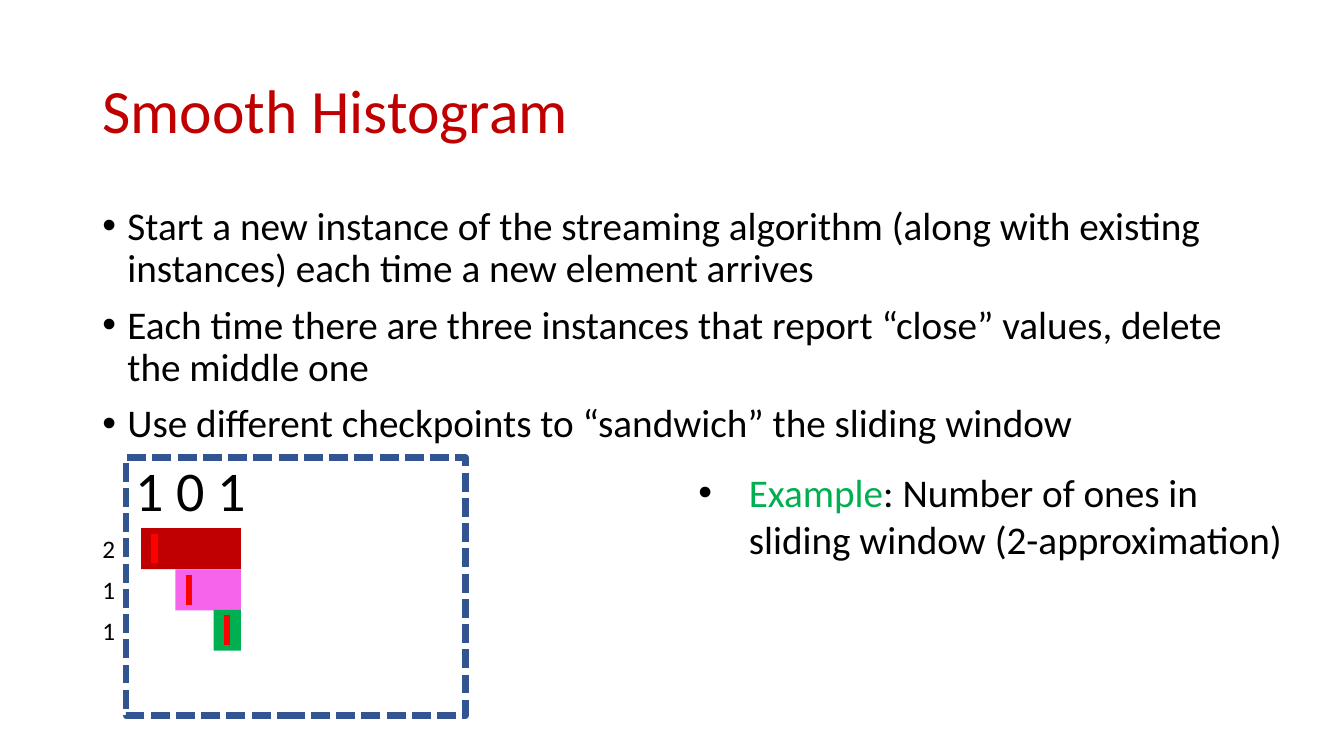
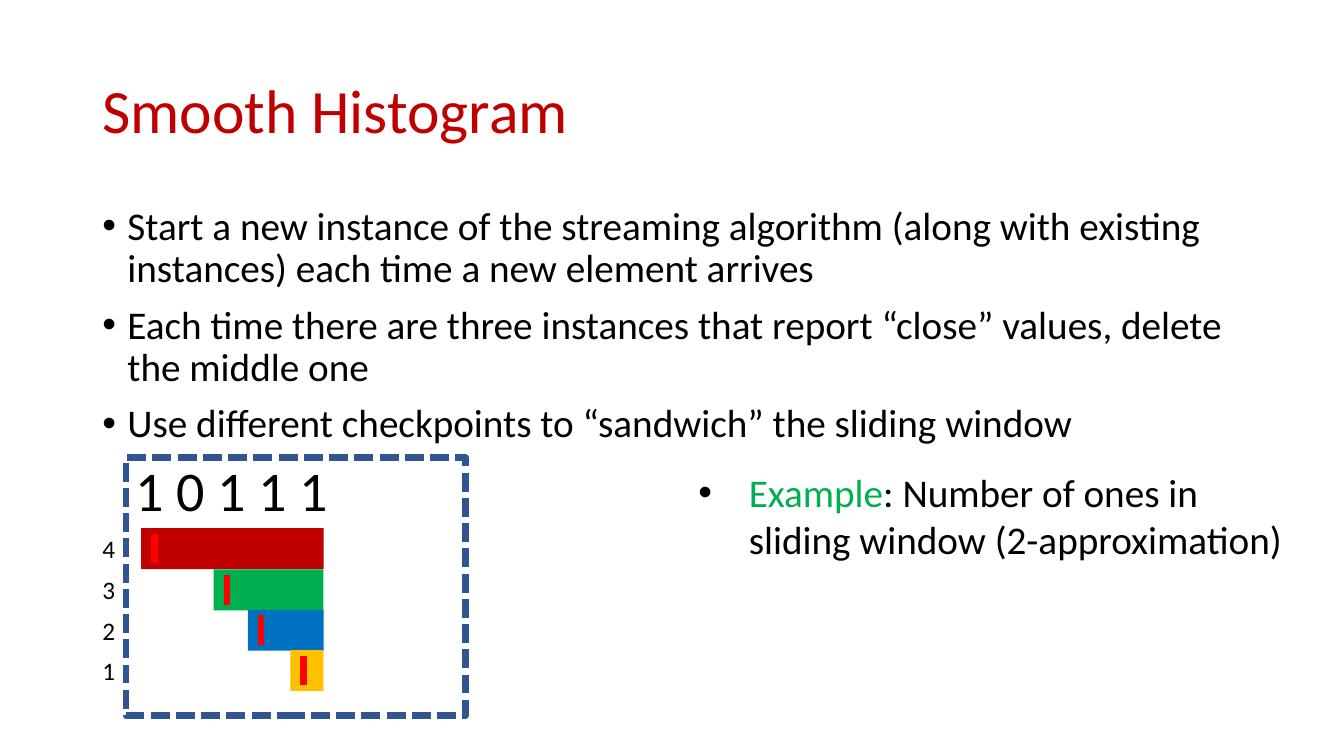
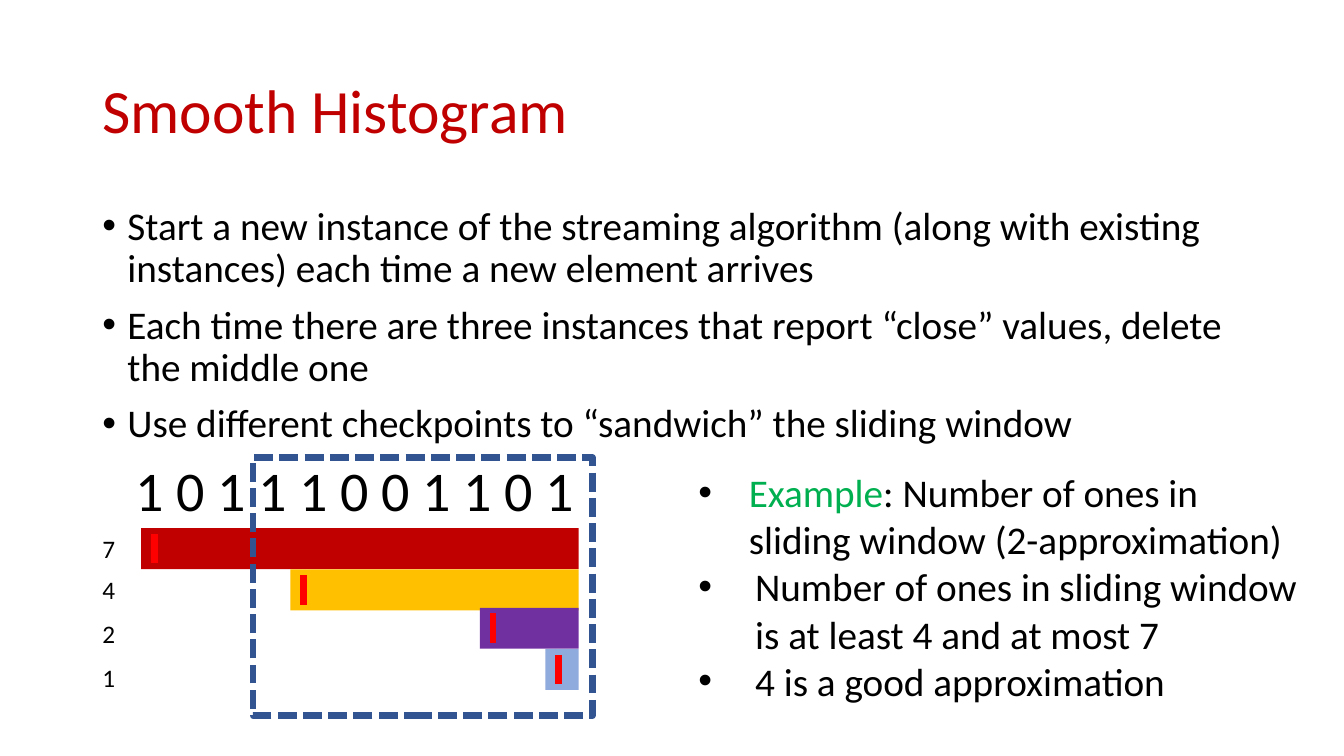
"""Build three slides that trace a smooth histogram over a bit stream."""
from lxml.etree import SubElement
from pptx import Presentation
from pptx.dml.color import RGBColor
from pptx.enum.dml import MSO_LINE
from pptx.enum.shapes import MSO_CONNECTOR, MSO_SHAPE
from pptx.enum.text import MSO_ANCHOR
from pptx.oxml.ns import qn
from pptx.util import Pt

BLACK, DARK_RED, GREEN = "000000", "C00000", "00B050"
TICK_RED, WINDOW_BLUE = "FF0000", "325491"

TITLE = "Smooth Histogram"
STEPS = [
    "Start a new instance of the streaming algorithm (along with existing instances) each time a new element arrives",
    "Each time there are three instances that report “close” values, delete the middle one",
    "Use different checkpoints to “sandwich” the sliding window",
]
EXAMPLE = [("Example", GREEN), (": Number of ones in sliding window (2-approximation)", BLACK)]
CONCLUSIONS = [
    "Number of ones in sliding window is at least 4 and at most 7",
    "4 is a good approximation",
]

INSTANCES = {
    "red": (DARK_RED, 100.8),
    "pink": ("F664EC", 125.3),
    "green": (GREEN, 152.6),
    "blue": ("0070C0", 177.1),
    "amber": ("FFC000", 207.4),
    "purple": ("7030A0", 342.7),
    "sky": ("8FAADC", 389.5),
}
ROW_TOPS = (377.3, 406.8, 435.6, 464.4)
STAGES = [
    {"bits": "1 0 1", "bars_end": 172.1, "window_left": 90,
     "counts": [("red", "2"), ("pink", "1"), ("green", "1")]},
    {"bits": "1 0 1 1 1", "bars_end": 231.1, "window_left": 90,
     "counts": [("red", "4"), ("green", "3"), ("blue", "2"), ("amber", "1")]},
    {"bits": "1 0 1 1 1 0 0 1 1 0 1", "bars_end": 413.3, "window_left": 180.7,
     "counts": [("red", "7"), ("amber", "4"), ("purple", "2"), ("sky", "1")],
     "bar_tops": (377.3, 406.8, 434.2, 463.7),
     "count_tops": (377.3, 406.8, 437.8, 469.4),
     "conclusions": CONCLUSIONS},
]
BAR_HEIGHT = 29.2
TICK_INSET_X, TICK_INSET_Y, TICK_WIDTH = 9.5, 4, 4.5


def rgb(value):
    """Turn a hex string into a colour."""
    return RGBColor.from_string(value)


def apply(target, formats):
    """Set every format value on the target."""
    for name, value in formats.items():
        setattr(target, name, value)


def add_bullet(paragraph, indent):
    """Give the paragraph a hanging black bullet."""
    properties = paragraph._p.get_or_add_pPr()
    properties.set("marL", str(Pt(indent)))
    properties.set("indent", str(-Pt(indent)))
    SubElement(SubElement(properties, qn("a:buClr")), qn("a:srgbClr"), val=BLACK)
    SubElement(properties, qn("a:buFont"), typeface="Arial")
    SubElement(properties, qn("a:buChar"), char="•")


def add_text(slide, box, lines, size, indents=(), wrap=True, anchor=MSO_ANCHOR.TOP, spacing=None, gap=0):
    """Add a text box whose lines are lists of (text, colour) runs."""
    frame = slide.shapes.add_textbox(*map(Pt, box)).text_frame
    apply(frame, {"word_wrap": wrap, "vertical_anchor": anchor})
    for index, line in enumerate(lines):
        paragraph = frame.add_paragraph() if index else frame.paragraphs[0]
        if indents:
            add_bullet(paragraph, indents[index])
        if spacing:
            paragraph.line_spacing = spacing
        if index and gap:
            paragraph.space_before = Pt(gap)
        for text, colour in line:
            run = paragraph.add_run()
            run.text = text
            apply(run.font, {"name": "Calibri", "size": Pt(size)})
            run.font.color.rgb = rgb(colour)


def add_rectangle(slide, box):
    """Add a rectangle without a shadow."""
    rectangle = slide.shapes.add_shape(MSO_SHAPE.RECTANGLE, *map(Pt, box))
    rectangle.shadow.inherit = False
    return rectangle


def add_instance(slide, name, top, end):
    """Draw the bar of one instance and its starting tick."""
    colour, left = INSTANCES[name]
    bar = add_rectangle(slide, (left, top, end - left, BAR_HEIGHT))
    bar.fill.solid()
    bar.fill.fore_color.rgb = rgb(colour)
    bar.line.fill.background()
    x = left + TICK_INSET_X
    ends = (x, top + TICK_INSET_Y, x, top + BAR_HEIGHT - TICK_INSET_Y)
    tick = slide.shapes.add_connector(MSO_CONNECTOR.STRAIGHT, *map(Pt, ends))
    tick.line.width = Pt(TICK_WIDTH)
    tick.line.color.rgb = rgb(TICK_RED)
    SubElement(tick._element.spPr, qn("a:effectLst"))


def add_window(slide, left):
    """Draw the dashed sliding window."""
    window = add_rectangle(slide, (left, 326.9, 242.6, 184.3))
    window.fill.background()
    apply(window.line, {"width": Pt(4.5), "dash_style": MSO_LINE.SQUARE_DOT})
    window.line.color.rgb = rgb(WINDOW_BLUE)


def add_stage(slide, stage):
    """Fill one slide with the shared text and one stage of the stream."""
    add_text(slide, (66, 28.8, 828, 104.4), [[(TITLE, DARK_RED)]], 44,
             anchor=MSO_ANCHOR.MIDDLE, spacing=0.9)
    add_text(slide, (66, 144, 828, 206), [[(step, BLACK)] for step in STEPS], 28,
             indents=[18] * len(STEPS), spacing=0.9, gap=10)
    bits = stage["bits"]
    bits_width = 5.8 + 29.5 * len(bits.split())
    add_text(slide, (90, 321.8, bits_width, 55.4), [[(bits, BLACK)]], 40, wrap=False)
    bar_tops = stage.get("bar_tops", ROW_TOPS)
    count_tops = stage.get("count_tops", ROW_TOPS)
    for (name, count), bar_top, count_top in zip(stage["counts"], bar_tops, count_tops):
        add_instance(slide, name, bar_top, stage["bars_end"])
        add_text(slide, (66, count_top, 23.8, 29), [[(count, BLACK)]], 18, wrap=False)
    conclusions = stage.get("conclusions", [])
    notes = [EXAMPLE] + [[(text, BLACK)] for text in conclusions]
    add_text(slide, (491.8, 331.2, 443.5, 75 + 51 * len(conclusions)), notes, 28,
             indents=[36] + [40.5] * len(conclusions))
    add_window(slide, stage["window_left"])


def main():
    """Build and save the presentation."""
    deck = Presentation()
    apply(deck, {"slide_width": Pt(960), "slide_height": Pt(540)})
    for stage in STAGES:
        add_stage(deck.slides.add_slide(deck.slide_layouts[6]), stage)
    deck.save("out.pptx")


if __name__ == "__main__":
    main()
